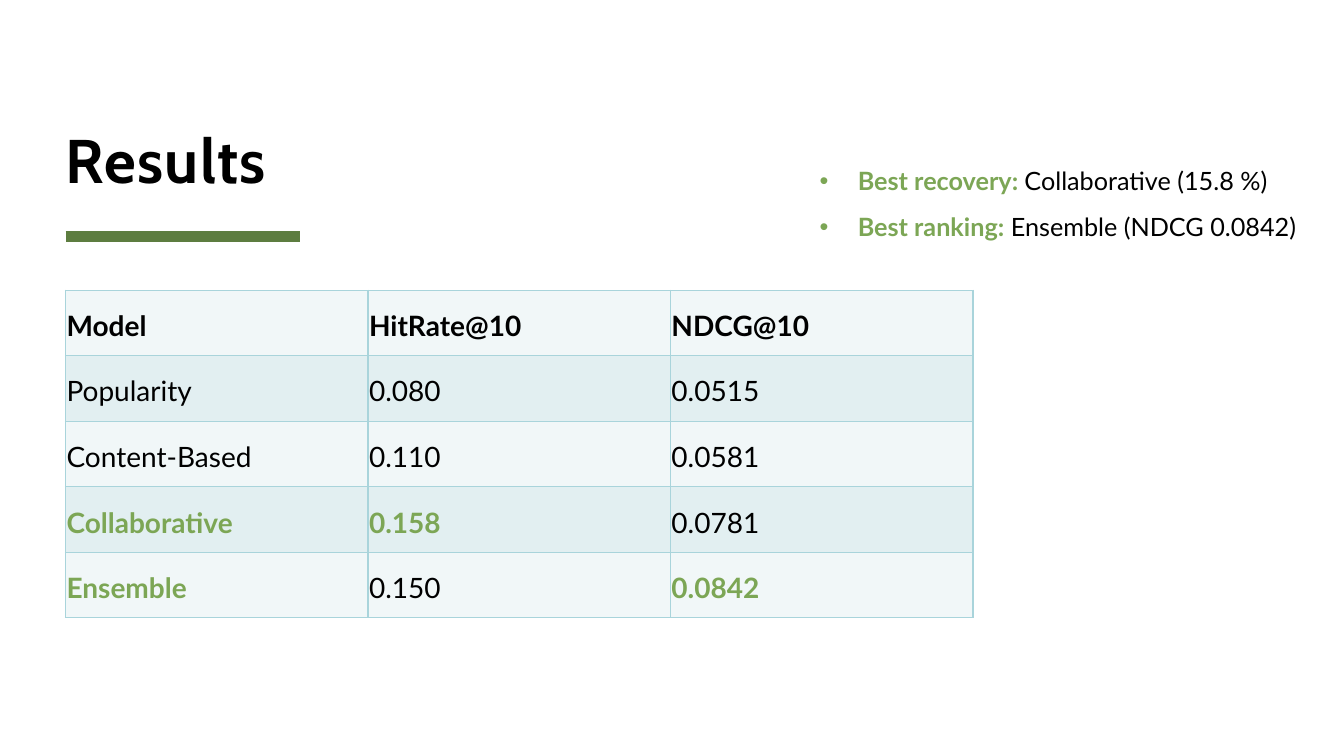
import pptx
import pptx.enum.shapes
import pptx.enum.text
import pptx.oxml.ns
import pptx.util
from lxml import etree
from pptx.dml.color import RGBColor
from pptx.util import Inches

BLACK = RGBColor(0x00, 0x00, 0x00)
GREEN = RGBColor(0x7C, 0xA6, 0x55)
DARK_GREEN = RGBColor(0x5D, 0x7D, 0x40)
BORDER = RGBColor(0xA9, 0xD4, 0xDB)
BANDS = (RGBColor(0xF1, 0xF7, 0xF8), RGBColor(0xE2, 0xEF, 0xF1))

TITLE = "Results"
RESULTS = [
    ("Model", "HitRate@10", "NDCG@10"),
    ("Popularity", "0.080", "0.0515"),
    ("Content‑Based", "0.110", "0.0581"),
    ("Collaborative", "0.158", "0.0781"),
    ("Ensemble", "0.150", "0.0842"),
]
WINNERS = {"Collaborative", "0.158", "Ensemble", "0.0842"}
FINDINGS = [
    ("Best recovery: ", "Collaborative (15.8 %)"),
    ("Best ranking:", " Ensemble (NDCG 0.0842)"),
]
LEFT = 0.65
COLUMN_WIDTH, ROW_HEIGHT = 3, 0.65


def add_element(parent, tag, **attributes):
    return etree.SubElement(parent, pptx.oxml.ns.qn(tag), attributes)


def style_font(font, size, color, bold, name="Lato"):
    font.name = name
    font.size = pptx.util.Pt(size)
    font.color.rgb = color
    font.bold = bold


def space_paragraph(para):
    para.line_spacing = 1.15
    para.space_after = pptx.util.Pt(8)


def add_title(page):
    box = page.shapes.add_textbox(Inches(LEFT), Inches(0.64), Inches(2.9), Inches(1.3))
    frame = box.text_frame
    frame.word_wrap = True
    frame.vertical_anchor = pptx.enum.text.MSO_ANCHOR.BOTTOM
    frame.margin_left = frame.margin_right = frame.margin_top = frame.margin_bottom = 0
    frame.text = TITLE
    para = frame.paragraphs[0]
    para.line_spacing = 0.8
    span = para.runs[0]
    style_font(span.font, 44, BLACK, True, "Cabin")
    span.font._element.set("spc", "100")


def add_underline(page):
    line = page.shapes.add_connector(
        pptx.enum.shapes.MSO_CONNECTOR.STRAIGHT,
        Inches(LEFT), Inches(2.35), Inches(2.98), Inches(2.35))
    line.line.color.rgb = DARK_GREEN
    line.line.width = pptx.util.Pt(8)
    add_element(line._element.spPr, "a:effectLst")


def add_borders(cell):
    properties = cell._tc.get_or_add_tcPr()
    for side in ("a:lnL", "a:lnR", "a:lnT", "a:lnB"):
        edge = add_element(properties, side, w=str(pptx.util.Pt(1)))
        fill = add_element(edge, "a:solidFill")
        add_element(fill, "a:srgbClr", val=str(BORDER))


def add_results(page):
    rows, columns = len(RESULTS), len(RESULTS[0])
    table = page.shapes.add_table(
        rows, columns, Inches(LEFT), Inches(2.88),
        Inches(columns * COLUMN_WIDTH), Inches(rows * ROW_HEIGHT)).table
    for r, values in enumerate(RESULTS):
        for c, value in enumerate(values):
            cell = table.cell(r, c)
            add_borders(cell)
            cell.fill.solid()
            cell.fill.fore_color.rgb = BANDS[r % 2]
            cell.vertical_anchor = pptx.enum.text.MSO_ANCHOR.MIDDLE
            cell.margin_left = cell.margin_right = Inches(0.01)
            cell.margin_top = cell.margin_bottom = Inches(0.01)
            cell.text_frame.text = value
            para = cell.text_frame.paragraphs[0]
            space_paragraph(para)
            wins = value in WINNERS
            style_font(para.runs[0].font, 20, GREEN if wins else BLACK, wins or r == 0)


def add_bullet(para):
    properties = para._p.get_or_add_pPr()
    properties.set("marL", str(Inches(0.38)))
    properties.set("indent", str(-Inches(0.38)))
    add_element(properties, "a:buFont", typeface="Arial")
    add_element(properties, "a:buChar", char="•")
    tabs = add_element(properties, "a:tabLst")
    add_element(tabs, "a:tab", pos=str(Inches(0.5)), algn="l")


def add_findings(page):
    box = page.shapes.add_textbox(Inches(8.03), Inches(1.55), Inches(4.96), Inches(1.33))
    frame = box.text_frame
    frame.word_wrap = False
    frame.auto_size = pptx.enum.text.MSO_AUTO_SIZE.SHAPE_TO_FIT_TEXT
    for index, (label, finding) in enumerate(FINDINGS):
        para = frame.add_paragraph() if index else frame.paragraphs[0]
        add_bullet(para)
        space_paragraph(para)
        for text, color, bold in ((label, GREEN, True), (finding, BLACK, False)):
            span = para.add_run()
            span.text = text
            style_font(span.font, 18, color, bold)


def main():
    deck = pptx.Presentation()
    deck.slide_width, deck.slide_height = Inches(13.33), Inches(7.5)
    page = deck.slides.add_slide(deck.slide_layouts[6])
    add_underline(page)
    add_title(page)
    add_results(page)
    add_findings(page)
    deck.save("out.pptx")


if __name__ == "__main__":
    main()
